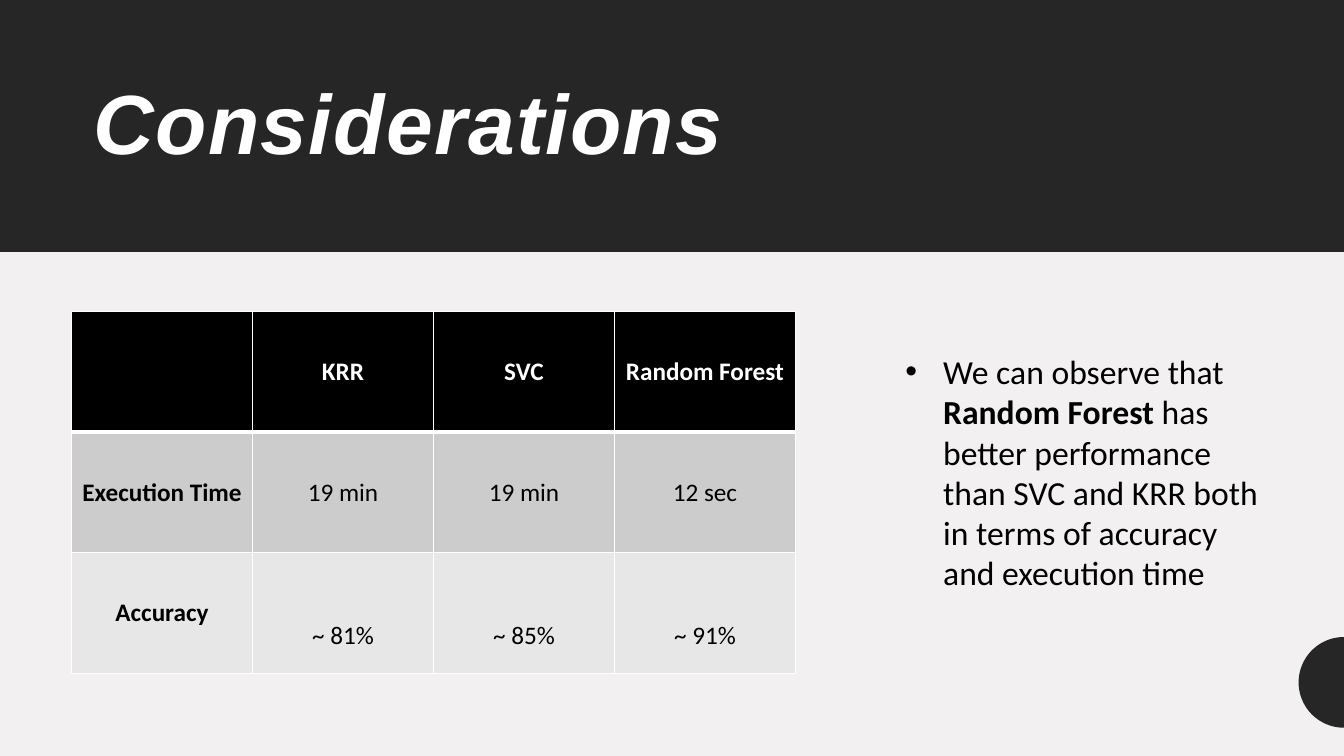
from dataclasses import dataclass
from math import cos, pi, sin

from lxml.etree import SubElement
from pptx import Presentation
from pptx.dml.color import RGBColor
from pptx.enum.shapes import MSO_SHAPE
from pptx.enum.text import MSO_ANCHOR, MSO_AUTO_SIZE, PP_ALIGN
from pptx.oxml.ns import qn
from pptx.util import Inches, Pt

TITLE = "Considerations"
TABLE = [
    ("", "KRR", "SVC", "Random Forest"),
    ("Execution Time", "19 min", "19 min", "12 sec"),
    ("Accuracy", "~ 81%", "~ 85%", "~ 91%"),
]
REMARK = [
    ("We can observe that ", False),
    ("Random Forest ", True),
    ("has better performance than SVC and KRR both in terms of accuracy and execution time", False),
]


@dataclass(frozen=True)
class Theme:
    paper: str = "F3F0F1"
    dark: str = "262626"
    white: str = "FFFFFF"
    black: str = "000000"
    rows: tuple = ("000000", "CCCCCC", "E7E7E7")
    head_font: str = "Arial"
    body_font: str = "Calibri"
    title_size: int = 60
    remark_size: int = 24
    cell_size: int = 18
    rule: int = 1
    head_rule: int = 3


T = Theme()
W, H = 13.33, 7.5
BAND = (0, 0, W, H / 3)
TITLE_BOX = (0.83, 0.41, 11.67, 1.7)
TABLE_BOX = (0.71, 3.09, 7.18, 3.59)
REMARK_BOX = (8.88, 3.43, 3.86, 2.93)
DISC_Y, DISC_R, DISC_STEPS = 6.77, 0.45, 48


def apply(obj, values):
    for name, value in values.items():
        setattr(obj, name, value)


def place(sp, box):
    apply(sp, dict(zip(("left", "top", "width", "height"), map(Inches, box))))


def paint(sp, color):
    sp.shadow.inherit = False
    sp.fill.solid()
    sp.fill.fore_color.rgb = RGBColor.from_string(color)
    sp.line.fill.background()


def add_run(p, text, font, size, color, **fmt):
    r = p.add_run()
    r.text = text
    apply(r.font, {"name": font, "size": Pt(size), **fmt})
    r.font.color.rgb = RGBColor.from_string(color)
    return r


def add_borders(cell, widths):
    tc_pr = cell._tc.get_or_add_tcPr()
    for i, (side, width) in enumerate(widths.items()):
        ln = SubElement(tc_pr, qn(f"a:ln{side}"), w=str(Pt(width)))
        fill = SubElement(ln, qn("a:solidFill"))
        SubElement(fill, qn("a:srgbClr"), val=T.white)
        tc_pr.insert(i, ln)


def add_band(s):
    sp = s.shapes.add_shape(MSO_SHAPE.RECTANGLE, *map(Inches, BAND))
    paint(sp, T.dark)
    s.shapes._spTree.insert(2, sp._element)


def add_title(s):
    sp = s.shapes.title
    place(sp, TITLE_BOX)
    tf = sp.text_frame
    apply(tf, {"word_wrap": True, "vertical_anchor": MSO_ANCHOR.MIDDLE})
    p = tf.paragraphs[0]
    apply(p, {"alignment": PP_ALIGN.LEFT, "line_spacing": 0.9})
    r = add_run(p, TITLE, T.head_font, T.title_size, T.white, bold=True, italic=True)
    r._r.get_or_add_rPr().set("spc", "100")


def add_half_disc(s):
    angles = [pi / 2 + pi * i / DISC_STEPS for i in range(DISC_STEPS + 1)]
    points = [(Inches(W + DISC_R * cos(a)), Inches(DISC_Y + DISC_R * sin(a))) for a in angles]
    fb = s.shapes.build_freeform(*points[0])
    fb.add_line_segments(points[1:], close=True)
    paint(fb.convert_to_shape(), T.dark)


def add_results(s):
    rows, cols = len(TABLE), len(TABLE[0])
    table = s.shapes.add_table(rows, cols, *map(Inches, TABLE_BOX)).table
    for i, row in enumerate(TABLE):
        for j, text in enumerate(row):
            cell = table.cell(i, j)
            cell.vertical_anchor = MSO_ANCHOR.MIDDLE
            cell.fill.solid()
            cell.fill.fore_color.rgb = RGBColor.from_string(T.rows[i])
            add_borders(cell, {
                "L": T.rule,
                "R": T.rule,
                "T": T.head_rule if i == 1 else T.rule,
                "B": T.head_rule if i == 0 else T.rule,
            })
            p = cell.text_frame.paragraphs[0]
            p.alignment = PP_ALIGN.CENTER
            if i == rows - 1 and j > 0:
                p.line_spacing = 2.5
            if text:
                color = T.white if i == 0 else T.black
                add_run(p, text, T.body_font, T.cell_size, color, bold=i == 0 or j == 0)


def add_remark(s):
    sp = s.placeholders[1]
    place(sp, REMARK_BOX)
    tf = sp.text_frame
    apply(tf, {
        "word_wrap": True,
        "auto_size": MSO_AUTO_SIZE.SHAPE_TO_FIT_TEXT,
        "vertical_anchor": MSO_ANCHOR.TOP,
    })
    p = tf.paragraphs[0]
    p.space_before = Pt(0)
    for text, bold in REMARK:
        add_run(p, text, T.body_font, T.remark_size, T.black, bold=bold)


def main():
    prs = Presentation()
    apply(prs, {"slide_width": Inches(W), "slide_height": Inches(H)})
    s = prs.slides.add_slide(prs.slide_layouts[1])
    s.background.fill.solid()
    s.background.fill.fore_color.rgb = RGBColor.from_string(T.paper)
    for add in (add_band, add_title, add_half_disc, add_results, add_remark):
        add(s)
    prs.save("out.pptx")


if __name__ == "__main__":
    main()
